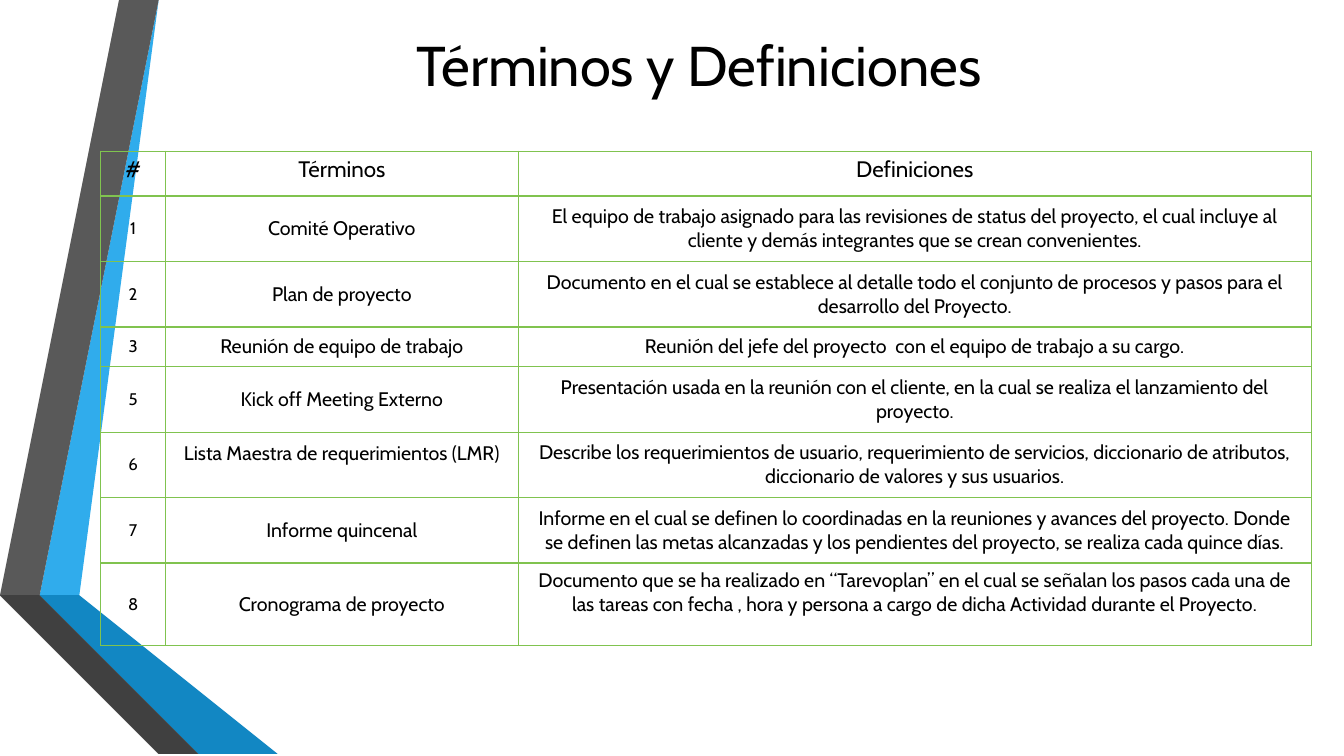
"""Builds the slide with the table of project terms and definitions."""
from lxml import etree
from pptx import Presentation
from pptx.dml.color import RGBColor
from pptx.enum.text import MSO_ANCHOR, PP_ALIGN
from pptx.oxml.ns import qn
from pptx.util import Cm, Pt

CENTER = PP_ALIGN.CENTER
TOP = MSO_ANCHOR.TOP
MIDDLE = MSO_ANCHOR.MIDDLE
FONT = "Cabin"
COLORS = {
    "text": "000000",
    "border": "80C34F",
    "light blue": "30ACEC",
    "blue": "1287C3",
    "dark blue": "0C5A82",
    "light gray": "595959",
    "gray": "404040",
    "dark gray": "262626",
}
RIBBONS = [
    ("light blue", [(1.27, 14.68), (1.96, 14.81), (4.39, 0), (3.68, 0)]),
    ("light gray", [(3.53, 0), (2.82, 0), (0.41, 14.55), (1.12, 14.66)]),
    ("dark gray", [(0.41, 14.55), (3.68, 19.05), (3.84, 19.05)]),
    ("dark blue", [(1.27, 14.71), (5.28, 19.05), (5.44, 19.05)]),
    ("blue", [(1.27, 14.68), (1.27, 14.71), (5.44, 19.05), (7.19, 19.05), (1.96, 14.81)]),
    ("gray", [(5.13, 19.05), (1.22, 14.81), (1.09, 14.68), (1.12, 14.66),
              (0.41, 14.55), (3.84, 19.05)]),
]
COLUMN_WIDTHS = [1.63, 8.89, 19.99]
ROW_HEIGHTS = [1.13, 1.65, 1.65, 1, 1.65, 1.65, 1.65, 2.07]
HEADER_SIZE = 16
BODY_SIZES = [12, 14, 14]
RAISED_CELLS = {(5, 1), (7, 2)}
ROWS = [
    ("#", "Términos", "Definiciones"),
    ("1", "Comité Operativo",
     "El equipo de trabajo asignado para las revisiones de status del proyecto, "
     "el cual incluye al cliente y demás integrantes que se crean convenientes."),
    ("2", "Plan de proyecto",
     "Documento en el cual se establece al detalle todo el conjunto de procesos "
     "y pasos para el desarrollo del Proyecto."),
    ("3", "Reunión de equipo de trabajo",
     "Reunión del jefe del proyecto  con el equipo de trabajo a su cargo."),
    ("5", "Kick off Meeting Externo",
     "Presentación usada en la reunión con el cliente, en la cual se realiza "
     "el lanzamiento del proyecto."),
    ("6", "Lista Maestra de requerimientos (LMR)",
     "Describe los requerimientos de usuario, requerimiento de servicios, "
     "diccionario de atributos, diccionario de valores y sus usuarios."),
    ("7", "Informe quincenal",
     "Informe en el cual se definen lo coordinadas en la reuniones y avances del "
     "proyecto. Donde se definen las metas alcanzadas y los pendientes del "
     "proyecto, se realiza cada quince días."),
    ("8", "Cronograma de proyecto",
     "Documento que se ha realizado en “Tarevoplan” en el cual se señalan los "
     "pasos cada una de las tareas con fecha , hora y persona a cargo de dicha "
     "Actividad durante el Proyecto."),
]


def write_text(text_frame, text, size):
    """Puts one centred paragraph into a text frame."""
    text_frame.word_wrap = True
    paragraph = text_frame.paragraphs[0]
    paragraph.text = text
    paragraph.alignment = CENTER
    font = paragraph.runs[0].font
    font.name = FONT
    font.size = Pt(size)
    font.color.rgb = RGBColor.from_string(COLORS["text"])


def add_borders(cell):
    """Draws a thin line on all four sides of a cell."""
    properties = cell._tc.get_or_add_tcPr()
    for position, side in enumerate(("a:lnL", "a:lnR", "a:lnT", "a:lnB")):
        line = etree.Element(qn(side), w=str(Pt(1)))
        fill = etree.SubElement(line, qn("a:solidFill"))
        etree.SubElement(fill, qn("a:srgbClr"), val=COLORS["border"])
        properties.insert(position, line)


presentation = Presentation()
presentation.slide_width = Cm(33.87)
presentation.slide_height = Cm(19.05)
slide = presentation.slides.add_slide(presentation.slide_layouts[6])

for color, points in RIBBONS:
    builder = slide.shapes.build_freeform(*points[0], scale=Cm(1))
    builder.add_line_segments(points[1:], close=True)
    ribbon = builder.convert_to_shape()
    ribbon.shadow.inherit = False
    ribbon.fill.solid()
    ribbon.fill.fore_color.rgb = RGBColor.from_string(COLORS[color])
    ribbon.line.fill.background()

title = slide.shapes.add_textbox(Cm(3.23), Cm(0), Cm(28.75), Cm(3.23))
title.text_frame.vertical_anchor = MIDDLE
write_text(title.text_frame, "Términos y Definiciones", 40)

table = slide.shapes.add_table(
    len(ROWS), len(COLUMN_WIDTHS), Cm(2.54), Cm(3.81),
    Cm(sum(COLUMN_WIDTHS)), Cm(sum(ROW_HEIGHTS))).table
table.first_row = False
table.horz_banding = False
for column, width in zip(table.columns, COLUMN_WIDTHS):
    column.width = Cm(width)
for row, height in zip(table.rows, ROW_HEIGHTS):
    row.height = Cm(height)

for row_index, texts in enumerate(ROWS):
    is_header = row_index == 0
    for column_index, text in enumerate(texts):
        cell = table.cell(row_index, column_index)
        write_text(cell.text_frame, text,
                   HEADER_SIZE if is_header else BODY_SIZES[column_index])
        cell.vertical_anchor = TOP if is_header else MIDDLE
        cell.margin_left = cell.margin_right = Cm(0.25)
        cell.margin_top = Cm(0.13)
        is_raised = (row_index, column_index) in RAISED_CELLS
        cell.margin_bottom = Cm(0.73 if is_raised else 0.13)
        cell.fill.background()
        add_borders(cell)

presentation.save("out.pptx")
